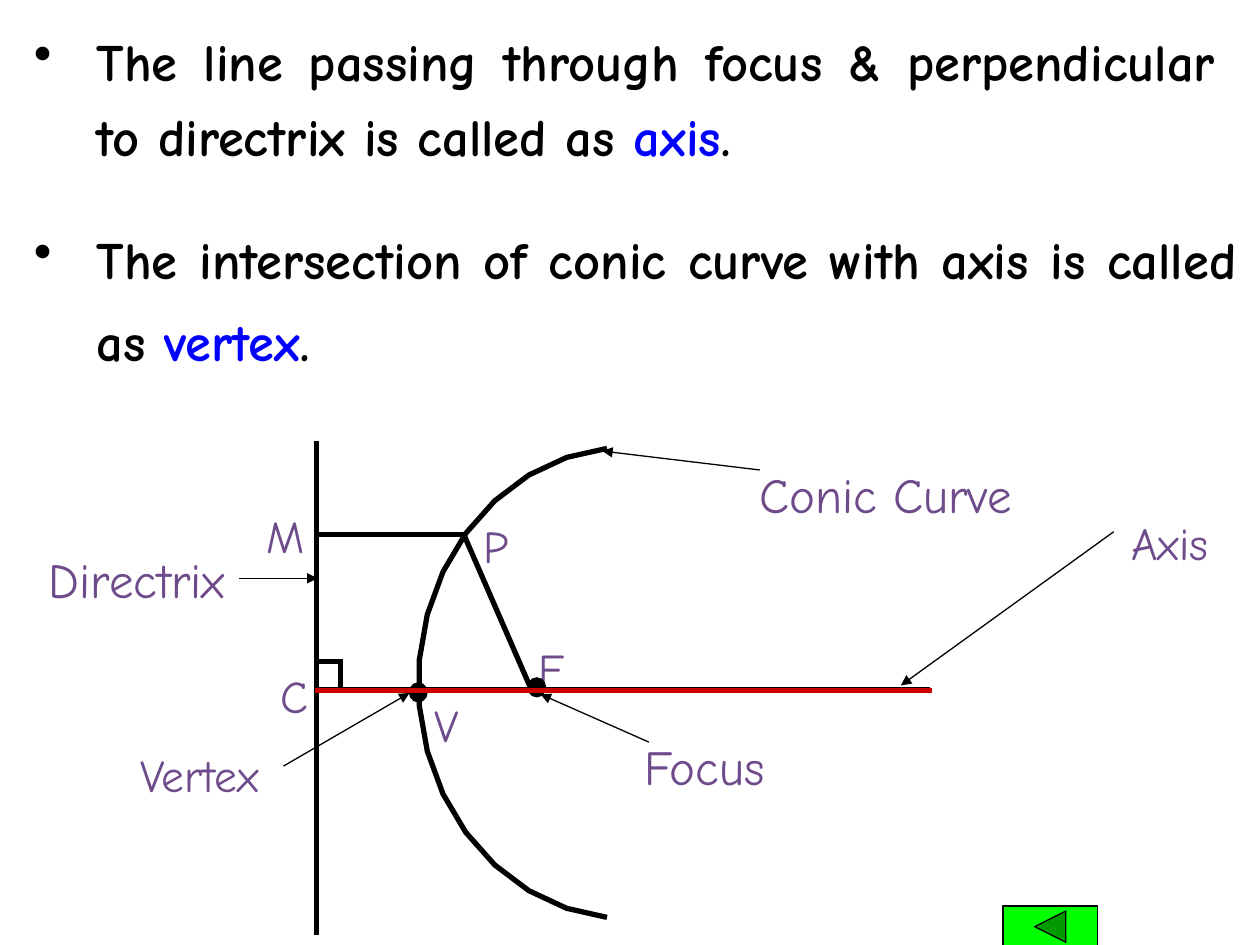
from dataclasses import dataclass
from math import cos, radians, sin

from lxml.etree import SubElement
from pptx import Presentation
from pptx.dml.color import RGBColor
from pptx.enum.shapes import MSO_CONNECTOR, MSO_SHAPE
from pptx.enum.text import MSO_AUTO_SIZE, PP_ALIGN
from pptx.oxml.ns import qn
from pptx.util import Inches, Pt


@dataclass(frozen=True)
class Theme:
    """Colours, type sizes and line weights of the slide."""
    font: str = "Comic Neue"
    ink: str = "000000"
    term: str = "0000FF"
    label: str = "6E4B8B"
    axis: str = "CC0000"
    button: str = "00FF00"
    body: int = 30
    name: int = 28
    point: int = 26
    thin: float = 0.75
    thick: float = 3


THEME = Theme()
COLUMNS, ROWS = 10, 7.5
SLIDE_WIDTH, SLIDE_HEIGHT = Inches(10), Inches(7.5)
DIRECTRIX_X, AXIS_Y = 2.51, 5.47
M, P, F = (DIRECTRIX_X, 4.24), (3.68, 4.24), (4.22, 5.48)
CURVE_CENTRE, CURVE_RADII = (4.98, 5.42), (1.66, 1.87)
CURVE_STEP, CURVE_POINTS = 11.25, 16

DEFINITIONS = [
    ((0.17, 0.08, 9.58, 1.3), 1.2,
     "The line passing through focus & perpendicular to directrix is called as ", "axis"),
    ((0.17, 1.6, 9.75, 1.4), 1.3,
     "The intersection of conic curve with axis is called as ", "vertex"),
]
LABELS = [
    ("Axis", (8.74, 3.91, 1.09, 0.67), THEME.point, PP_ALIGN.CENTER),
    ("M", (1.94, 3.85, 0.65, 0.66), THEME.point, PP_ALIGN.CENTER),
    ("C", (2, 5.12, 0.68, 0.66), THEME.point, PP_ALIGN.CENTER),
    ("F", (4.08, 4.91, 0.6, 0.66), THEME.point, PP_ALIGN.CENTER),
    ("V", (3.28, 5.35, 0.46, 0.66), THEME.point, PP_ALIGN.RIGHT),
    ("P", (3.71, 3.93, 0.46, 0.66), THEME.point, PP_ALIGN.CENTER),
    ("Focus", (4.91, 5.66, 1.36, 0.71), THEME.name, PP_ALIGN.CENTER),
    ("Conic Curve", (5.78, 3.5, 2.5, 0.71), THEME.name, PP_ALIGN.CENTER),
    ("Directrix", (0, 4.17, 2.17, 0.71), THEME.name, PP_ALIGN.CENTER),
    ("Vertex", (0.58, 5.75, 2.01, 0.66), THEME.point, PP_ALIGN.CENTER),
]
CONSTRUCTION = [
    ((DIRECTRIX_X, 3.5), (DIRECTRIX_X, 7.42)),
    (P, F),
    ((2.5, AXIS_Y), (7.38, AXIS_Y)),
    (M, P),
    ((DIRECTRIX_X, 5.25), (2.72, 5.25)),
    ((2.7, 5.25), (2.7, AXIS_Y)),
]
POINTERS = [
    ((8.84, 4.22), (7.15, 5.44)),
    ((5.15, 5.89), (4.29, 5.51)),
    ((6.03, 3.73), (4.78, 3.58)),
    ((1.9, 4.59), (2.52, 4.59)),
    ((2.25, 6.08), (3.25, 5.5)),
]
POINTS = [(4.19, 5.38, 0.14, 0.15), (3.25, 5.42, 0.14, 0.15)]


def place(*lengths):
    """Turn alternating column and row lengths into slide units."""
    units = (SLIDE_WIDTH / COLUMNS, SLIDE_HEIGHT / ROWS)
    return [round(length * units[i % 2]) for i, length in enumerate(lengths)]


def apply(target, values):
    """Set every format value on the target."""
    for attribute, value in values.items():
        setattr(target, attribute, value)


def stroke(line, color, weight):
    """Give a line its colour and weight."""
    line.color.rgb = RGBColor.from_string(color)
    line.width = Pt(weight)


def add_run(paragraph, wording, size, color, bold=False):
    """Append one formatted run."""
    run = paragraph.add_run()
    run.text = wording
    apply(run.font, {"name": THEME.font, "size": Pt(size), "bold": bold})
    run.font.color.rgb = RGBColor.from_string(color)


def add_paragraph_box(slide, area, spacing, alignment):
    """Add a wrapping text box and return its first paragraph."""
    frame = slide.shapes.add_textbox(*place(*area)).text_frame
    apply(frame, {"word_wrap": True, "auto_size": MSO_AUTO_SIZE.SHAPE_TO_FIT_TEXT})
    paragraph = frame.paragraphs[0]
    apply(paragraph, {"line_spacing": spacing, "alignment": alignment})
    return paragraph


def add_definition(slide, area, spacing, sentence, term):
    """Add a bulleted definition with its term highlighted."""
    paragraph = add_paragraph_box(slide, area, spacing, PP_ALIGN.JUSTIFY)
    properties = paragraph._p.get_or_add_pPr()
    properties.set("marL", str(Inches(0.5)))
    properties.set("indent", str(Inches(-0.5)))
    SubElement(properties, qn("a:buChar")).set("char", "•")
    for wording, color in ((sentence, THEME.ink), (term, THEME.term), (".", THEME.ink)):
        add_run(paragraph, wording, THEME.body, color, bold=True)


def add_label(slide, wording, area, size, alignment):
    """Add the name of one part of the diagram."""
    paragraph = add_paragraph_box(slide, area, 1.3, alignment)
    add_run(paragraph, wording, size, THEME.label)


def add_line(slide, start, end, color=THEME.ink, weight=THEME.thick, arrow=False):
    """Draw a straight line, with an arrowhead at its end if asked."""
    connector = slide.shapes.add_connector(MSO_CONNECTOR.STRAIGHT, *place(*start, *end))
    stroke(connector.line, color, weight)
    if arrow:
        SubElement(connector.line._get_or_add_ln(), qn("a:tailEnd")).set("type", "triangle")
    SubElement(connector._element.spPr, qn("a:effectLst"))


def add_conic_curve(slide):
    """Draw the open curve through equally spaced angles of an ellipse."""
    (centre_x, centre_y), (radius_x, radius_y) = CURVE_CENTRE, CURVE_RADII
    angles = [radians((i - (CURVE_POINTS - 1) / 2) * CURVE_STEP) for i in range(CURVE_POINTS)]
    vertices = [place(centre_x - radius_x * cos(angle), centre_y + radius_y * sin(angle))
                for angle in angles]
    builder = slide.shapes.build_freeform(*vertices[0])
    builder.add_line_segments(vertices[1:], close=False)
    curve = builder.convert_to_shape()
    curve.shadow.inherit = False
    curve.fill.background()
    stroke(curve.line, THEME.ink, THEME.thick)


def add_solid(slide, preset, area, color):
    """Add a filled preset shape with a thin outline."""
    solid = slide.shapes.add_shape(preset, *place(*area))
    solid.shadow.inherit = False
    solid.fill.solid()
    solid.fill.fore_color.rgb = RGBColor.from_string(color)
    stroke(solid.line, THEME.ink, THEME.thin)


def main():
    """Build the slide on the axis and vertex of a conic."""
    deck = Presentation()
    apply(deck, {"slide_width": SLIDE_WIDTH, "slide_height": SLIDE_HEIGHT})
    slide = deck.slides.add_slide(deck.slide_layouts[6])
    add_solid(slide, MSO_SHAPE.ACTION_BUTTON_BACK_OR_PREVIOUS,
              (7.96, 7.19, 0.75, 0.33), THEME.button)
    for definition in DEFINITIONS:
        add_definition(slide, *definition)
    add_conic_curve(slide)
    for start, end in CONSTRUCTION:
        add_line(slide, start, end)
    for label in LABELS:
        add_label(slide, *label)
    for start, end in POINTERS:
        add_line(slide, start, end, weight=THEME.thin, arrow=True)
    for area in POINTS:
        add_solid(slide, MSO_SHAPE.OVAL, area, THEME.ink)
    add_line(slide, (2.5, 5.48), (7.4, 5.48), color=THEME.axis)
    deck.save("out.pptx")


if __name__ == "__main__":
    main()
